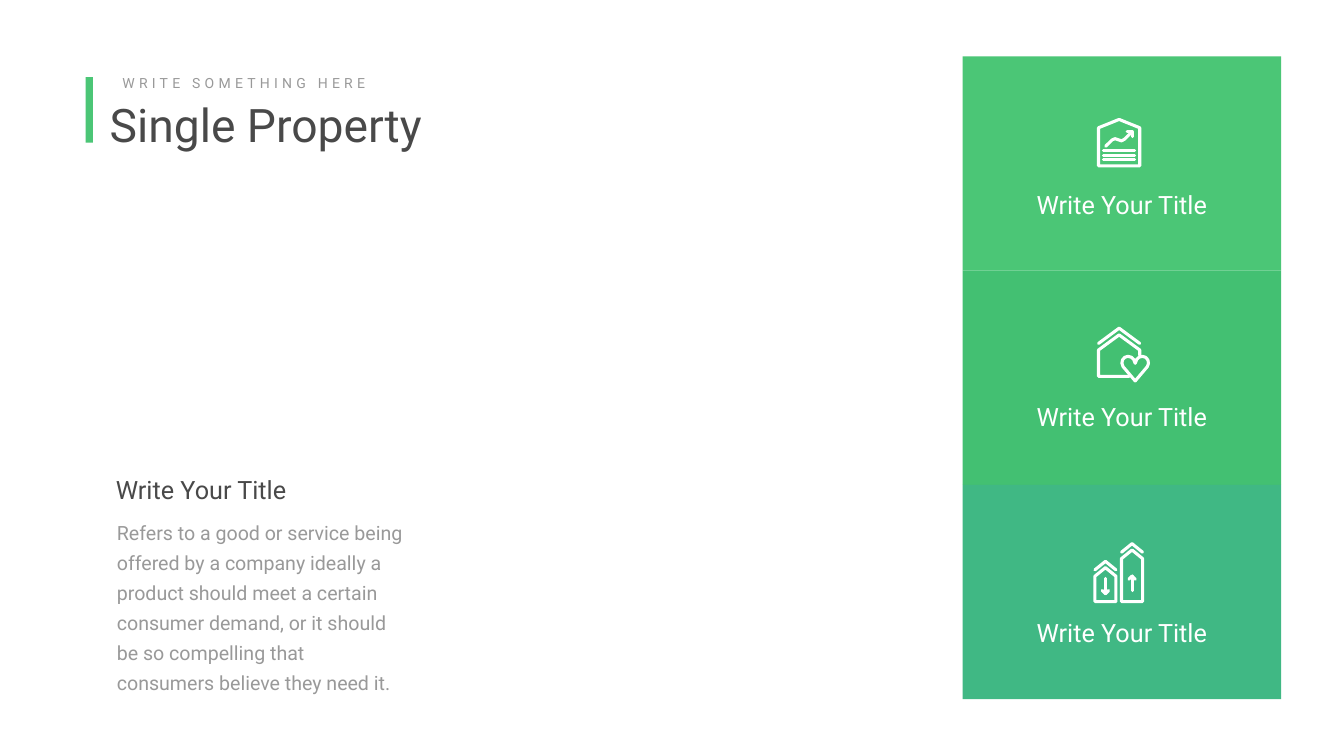
from dataclasses import dataclass

from lxml import etree
from pptx import Presentation
from pptx.dml.color import RGBColor
from pptx.enum.shapes import MSO_CONNECTOR, MSO_SHAPE
from pptx.enum.text import MSO_AUTO_SIZE, PP_ALIGN
from pptx.oxml.ns import qn
from pptx.util import Cm, Pt

RECTANGLE = MSO_SHAPE.RECTANGLE
STRAIGHT = MSO_CONNECTOR.STRAIGHT
LEFT, CENTER = PP_ALIGN.LEFT, PP_ALIGN.CENTER
GROW = MSO_AUTO_SIZE.SHAPE_TO_FIT_TEXT


@dataclass(frozen=True)
class Theme:
    font: str = "Roboto"
    dark: str = "494949"
    gray: str = "999999"
    white: str = "FFFFFF"
    accent: str = "4BC676"
    panels: tuple = ("4BC676", "43C072", "40B884")
    heading_size: float = 66
    title_size: float = 36
    body_size: float = 28
    kicker_size: float = 20
    body_leading: float = 43
    icon_stroke: float = 4.4


THEME = Theme()


def color(value):
    return RGBColor.from_string(value)


def add_text(slide, box, text, size, text_color, align=LEFT):
    shape = slide.shapes.add_textbox(*(Cm(length) for length in box))
    frame = shape.text_frame
    frame.word_wrap = True
    frame.auto_size = GROW
    paragraph = frame.paragraphs[0]
    paragraph.text = text
    paragraph.alignment = align
    paragraph.font.name = THEME.font
    paragraph.font.size = Pt(size)
    paragraph.font.color.rgb = color(text_color)
    return shape


def add_block(slide, box, fill):
    shape = slide.shapes.add_shape(RECTANGLE, *(Cm(length) for length in box))
    shape.shadow.inherit = False
    shape.fill.solid()
    shape.fill.fore_color.rgb = color(fill)
    shape.line.fill.background()


def add_stroke(group, origin, points, closed=False):
    """Draw a white round-ended line through points given in cm from origin."""
    spots = [(Cm(origin[0] + x), Cm(origin[1] + y)) for x, y in points]
    if len(spots) == 2:
        shape = group.shapes.add_connector(STRAIGHT, *spots[0], *spots[1])
    else:
        builder = group.shapes.build_freeform(*spots[0])
        builder.add_line_segments(spots[1:], close=closed)
        shape = builder.convert_to_shape()
        shape.fill.background()
    shape.line.color.rgb = color(THEME.white)
    shape.line.width = Pt(THEME.icon_stroke)
    properties = shape.line._get_or_add_ln()
    properties.set("cap", "rnd")
    etree.SubElement(properties, qn("a:round"))
    etree.SubElement(shape._element.spPr, qn("a:effectLst"))


def draw_chart_house(group, origin):
    add_stroke(group, origin, [(0.08, 2.44), (0.08, 0.52), (1.12, 0.1),
                               (2.16, 0.52), (2.16, 2.44)], closed=True)
    # Trend arrow
    add_stroke(group, origin, [(0.44, 1.45), (0.77, 1.13), (0.91, 1.07), (1.09, 1.13),
                               (1.24, 1.18), (1.4, 1.09), (1.78, 0.71)])
    add_stroke(group, origin, [(1.52, 0.7), (1.79, 0.7), (1.79, 0.97)])
    for row in range(3):
        y = 1.68 + row * 0.23
        add_stroke(group, origin, [(0.33, y), (1.9, y)])


def draw_heart_house(group, origin):
    add_stroke(group, origin, [(0.08, 0.85), (1.12, 0.08), (2.16, 0.85)])
    add_stroke(group, origin, [(2.16, 1.45), (2.16, 1.18), (1.12, 0.42),
                               (0.08, 1.18), (0.08, 2.51), (1.63, 2.51)])
    # Heart: one half, mirrored about its middle
    middle = 1.93
    half = [(0, 1.85), (0.08, 1.65), (0.2, 1.54), (0.37, 1.5), (0.53, 1.55),
            (0.64, 1.68), (0.67, 1.85), (0.61, 2.02), (0, 2.74)]
    right = [(middle + x, y) for x, y in half]
    left = [(middle - x, y) for x, y in half[-2:0:-1]]
    add_stroke(group, origin, right + left, closed=True)


def draw_tower(group, origin, left, top, arrow_tail, arrow_tip):
    middle, right, bottom = left + 0.53, left + 1.06, 3.02
    eave = top + 0.75
    add_stroke(group, origin, [(left, top + 0.43), (middle, top), (right, top + 0.43)])
    add_stroke(group, origin, [(left, bottom), (left, eave), (middle, top + 0.32),
                               (right, eave), (right, bottom)], closed=True)
    # Arrow inside the tower
    wing = arrow_tip + (0.16 if arrow_tail > arrow_tip else -0.16)
    add_stroke(group, origin, [(middle, arrow_tail), (middle, arrow_tip)])
    add_stroke(group, origin, [(middle - 0.16, wing), (middle, arrow_tip),
                               (middle + 0.16, wing)])


def draw_towers(group, origin):
    draw_tower(group, origin, 0.08, 0.99, 1.85, 2.62)
    draw_tower(group, origin, 1.42, 0.1, 2.46, 1.73)


def add_header(slide):
    add_text(slide, (5.28, 4.72, 20.52, 3.07), "Single Property",
             THEME.heading_size, THEME.dark)
    kicker = add_text(slide, (5.92, 3.61, 15.14, 1.12), "WRITE SOMETHING HERE",
                      THEME.kicker_size, THEME.gray)
    run = kicker.text_frame.paragraphs[0].runs[0]
    run.font._element.set("spc", "600")
    add_block(slide, (4.32, 3.89, 0.36, 3.3), THEME.accent)


def add_panels(slide):
    left, top, width, height = 48.51, 2.84, 16.05, 10.8
    panels = [
        (9.4, draw_chart_house, (55.27, 5.92)),
        (20.12, draw_heart_house, (55.27, 16.46)),
        (31.01, draw_towers, (55.09, 27.3)),
    ]
    for row, (title_top, draw_icon, origin) in enumerate(panels):
        add_block(slide, (left, top + row * height, width, height), THEME.panels[row])
        add_text(slide, (50.44, title_top, 12.17, 1.8), "Write Your Title",
                 THEME.title_size, THEME.white, CENTER)
        draw_icon(slide.shapes.add_group_shape(), origin)


def add_description(slide):
    body = add_text(
        slide, (5.28, 25.6, 15.77, 9.68),
        "Refers to a good or service being offered by a company ideally a product "
        "should meet a certain consumer demand, or it should be so compelling that "
        "consumers believe they need it.",
        THEME.body_size, THEME.gray)
    frame = body.text_frame
    frame.margin_left = frame.margin_right = Cm(0.61)
    frame.margin_top = frame.margin_bottom = Cm(0.3)
    frame.paragraphs[0].line_spacing = Pt(THEME.body_leading)
    add_text(slide, (5.59, 23.8, 13.74, 1.8), "Write Your Title",
             THEME.title_size, THEME.dark)


def main():
    presentation = Presentation()
    presentation.slide_width, presentation.slide_height = Cm(67.72), Cm(38.1)
    slide = presentation.slides.add_slide(presentation.slide_layouts[6])
    add_header(slide)
    add_panels(slide)
    add_description(slide)
    presentation.save("out.pptx")


if __name__ == "__main__":
    main()
